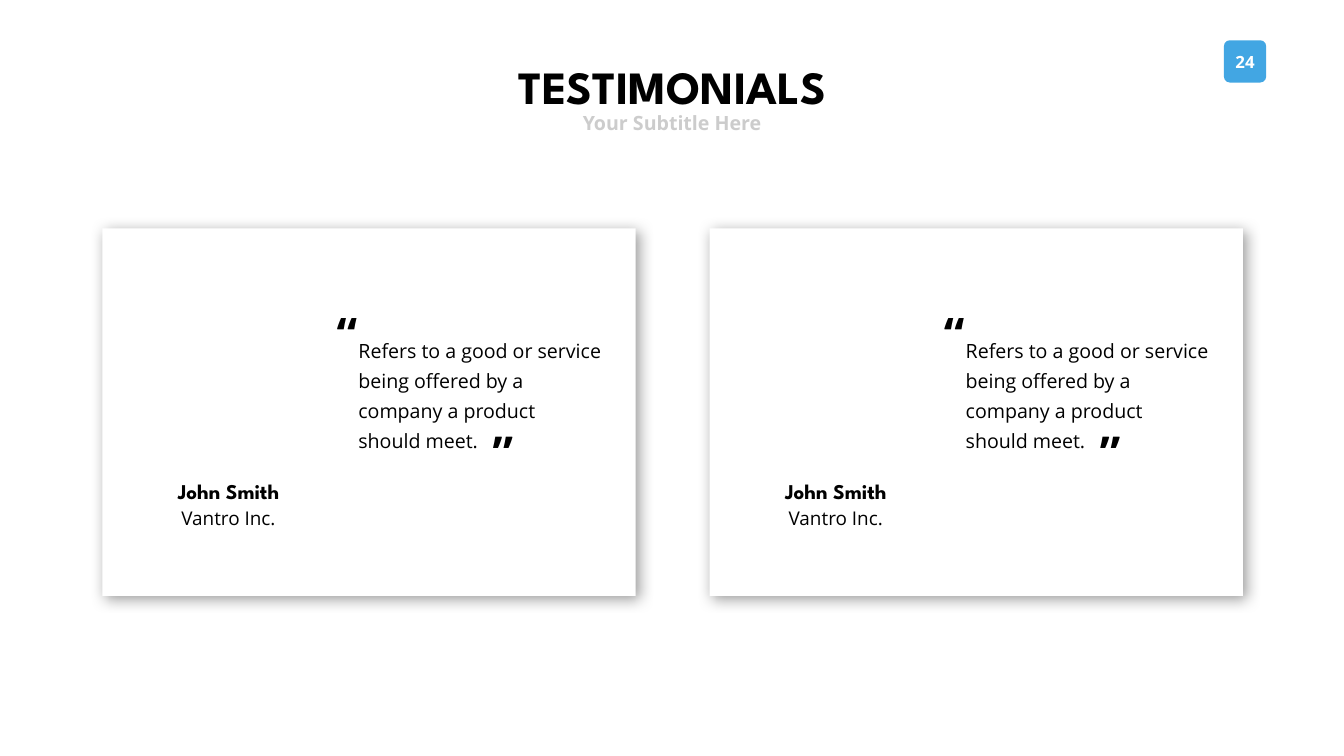
from lxml.etree import SubElement
from pptx import Presentation
from pptx.dml.color import RGBColor
from pptx.enum.shapes import MSO_SHAPE
from pptx.enum.text import MSO_ANCHOR, MSO_AUTO_SIZE, PP_ALIGN
from pptx.oxml.ns import qn
from pptx.util import Cm, Pt

COLORS = {"text": "000000", "muted": "CCCCCC", "accent": "42A6E3", "white": "FFFFFF"}
HEADING = "League Spartan"
BODY = "Open Sans"
CARD_LEFT = 5.16
CARD_STEP = 30.6
QUOTE = "Refers to a good or service being offered by a company a product should meet."


class SlideBuilder:
    def __init__(self, slide):
        self.slide = slide

    def color(self, name):
        return RGBColor.from_string(COLORS[name])

    def format_text(self, shape, text, size, font=BODY, color="text", bold=False,
                    align=PP_ALIGN.CENTER, anchor=MSO_ANCHOR.TOP, wrap=False,
                    insets=(0.25, 0.13), line=None, spacing=None):
        text_frame = shape.text_frame
        text_frame.text = text
        text_frame.word_wrap = wrap
        text_frame.auto_size = MSO_AUTO_SIZE.SHAPE_TO_FIT_TEXT
        text_frame.vertical_anchor = anchor
        text_frame.margin_left = text_frame.margin_right = Cm(insets[0])
        text_frame.margin_top = text_frame.margin_bottom = Cm(insets[1])
        paragraph = text_frame.paragraphs[0]
        paragraph.alignment = align
        paragraph.space_before = Pt(0)
        if line:
            paragraph.line_spacing = Pt(line)
        run = paragraph.runs[0]
        run.font.name = font
        run.font.size = Pt(size)
        run.font.bold = bold
        run.font.color.rgb = self.color(color)
        if spacing:
            run.font._element.set("spc", str(spacing * 100))

    def placeholder(self, index, box, text, size, **style):
        shape = self.slide.placeholders[index]
        shape.left, shape.top, shape.width, shape.height = map(Cm, box)
        self.format_text(shape, text, size, **style)

    def text(self, box, text, size, rotation=0, **style):
        shape = self.slide.shapes.add_textbox(*map(Cm, box))
        shape.rotation = rotation
        self.format_text(shape, text, size, **style)

    def block(self, kind, box, fill):
        shape = self.slide.shapes.add_shape(kind, *map(Cm, box))
        shape.shadow.inherit = False
        shape.fill.solid()
        shape.fill.fore_color.rgb = self.color(fill)
        shape.line.fill.background()
        return shape

    def card(self, box):
        shape = self.block(MSO_SHAPE.RECTANGLE, box, "white")
        effects = shape._element.spPr.find(qn("a:effectLst"))
        shadow = SubElement(effects, qn("a:outerShdw"), blurRad=str(Pt(21)),
                            dist=str(Pt(6)), dir="2700000", algn="ctr", rotWithShape="0")
        shade = SubElement(shadow, qn("a:srgbClr"), val=COLORS["text"])
        SubElement(shade, qn("a:alpha"), val="40000")

    def badge(self, box, number):
        shape = self.block(MSO_SHAPE.ROUNDED_RECTANGLE, box, "accent")
        shape.adjustments[0] = 0.14
        left, top, width, height = box
        self.text((left, top + 0.33, width, 1.55), number, 24, color="white", bold=True,
                  insets=(0.5, 0.25))

    def testimonial(self, left, quote, name, company):
        mark = dict(bold=True, anchor=MSO_ANCHOR.MIDDLE, insets=(0, 0), spacing=3)
        self.card((left, 11.51, 26.87, 18.52))
        self.text((left + 12.65, 16.61, 12.73, 6.38), quote, 28, align=PP_ALIGN.LEFT,
                  wrap=True, line=43)
        self.text((left + 11.75, 15.37, 1.14, 2.82), "“", 66, **mark)
        self.text((left + 19.33, 20.47, 1.68, 2.82), "“", 66, rotation=180, wrap=True, **mark)
        self.text((left + 3.03, 24, 6.65, 1.55), name, 30, font=HEADING, bold=True,
                  anchor=MSO_ANCHOR.MIDDLE)
        self.text((left + 3.25, 24.87, 6.2, 2.01), company, 27, insets=(0.61, 0.3), line=43)


def main():
    presentation = Presentation()
    presentation.slide_width = Cm(67.72)
    presentation.slide_height = Cm(38.1)
    builder = SlideBuilder(presentation.slides.add_slide(presentation.slide_layouts[0]))
    builder.placeholder(0, (24.54, 2.06, 18.69, 3.63), "TESTIMONIALS", 66, font=HEADING,
                        bold=True, line=100)
    builder.placeholder(1, (29.06, 5.46, 9.6, 1.45), "Your Subtitle Here", 28,
                        color="muted", bold=True, anchor=MSO_ANCHOR.MIDDLE)
    builder.badge((61.67, 2.03, 2.13, 2.13), "24")
    for column in range(2):
        builder.testimonial(CARD_LEFT + column * CARD_STEP, QUOTE, "John Smith", "Vantro Inc.")
    presentation.save("out.pptx")


if __name__ == "__main__":
    main()
